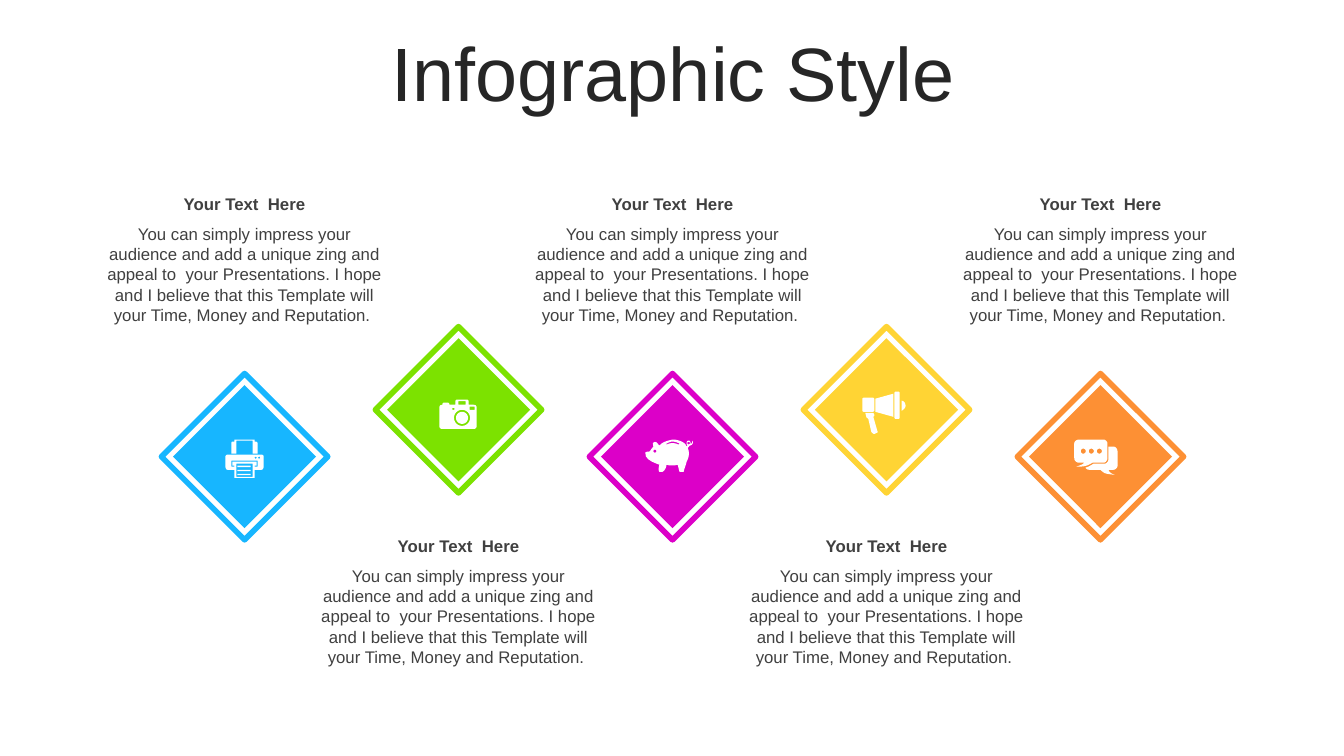
"""Build the five-step diamond infographic slide."""
import math
from dataclasses import dataclass

from pptx import Presentation
from pptx import util as u
from pptx.dml import color
from pptx.enum import shapes, text
from pptx.shapes import autoshape, shapetree
from pptx.text import text as text_parts

Point = tuple[float, float]
Contour = list[Point]


@dataclass(frozen=True)
class Theme:
    font: str = "Arial"
    title_color: str = "262626"
    text_color: str = "404040"
    icon_color: str = "FFFFFF"
    title_size: float = 54
    text_size: float = 12
    outline_width: float = 4


@dataclass(frozen=True)
class Icon:
    left: float
    top: float
    contours: list[Contour]


@dataclass(frozen=True)
class Step:
    accent: str
    icon: Icon


THEME = Theme()
ICON_UNIT = 0.72
FIRST_CENTER, STEP_PITCH = 174.7, 152.84
LOW_CENTER, HIGH_CENTER = 326.2, 292.7
INNER_SIZE, OUTER_SIZE = 102.2, 118.8
CAPTION_WIDTH, HEADING_HEIGHT, BODY_HEIGHT = 217.4, 21.8, 80
UPPER_CAPTION, LOWER_CAPTION = 134.6, 378.8
HEADING = "Your Text  Here"
BODY = (
    "You can simply impress your audience and add a unique zing and appeal to  your "
    "Presentations. I hope and I believe that this Template will your Time, Money and Reputation. "
)


def rounded(left: float, top: float, width: float, height: float, radius: float = 0) -> Contour:
    """Return a rectangle contour with optional rounded corners."""
    if not radius:
        return [(left, top), (left + width, top), (left + width, top + height), (left, top + height)]
    corners = [
        (left + width - radius, top + height - radius),
        (left + radius, top + height - radius),
        (left + radius, top + radius),
        (left + width - radius, top + radius),
    ]
    return [
        (x + radius * math.cos(math.radians(angle)), y + radius * math.sin(math.radians(angle)))
        for quarter, (x, y) in enumerate(corners)
        for angle in range(quarter * 90, quarter * 90 + 91, 15)
    ]


def disc(x: float, y: float, radius: float) -> Contour:
    """Return a circular contour around a centre."""
    return rounded(x - radius, y - radius, 2 * radius, 2 * radius, radius)


def outline(*segments: tuple[float, ...]) -> Contour:
    """Return a contour from points (two numbers) and cubic curves (six numbers)."""
    contour: Contour = []
    for segment in segments:
        if len(segment) == 2:
            contour.append(segment)
            continue
        x0, y0 = contour[-1]
        x1, y1, x2, y2, x3, y3 = segment
        for t in (0.2, 0.4, 0.6, 0.8, 1):
            a, b, c, d = (1 - t) ** 3, 3 * t * (1 - t) ** 2, 3 * t**2 * (1 - t), t**3
            contour.append((a * x0 + b * x1 + c * x2 + d * x3, a * y0 + b * y1 + c * y2 + d * y3))
    return contour


PRINTER = Icon(-19, -17, [
    outline((2, 15), (36, 15), (37, 15, 38, 16, 38, 17), (38, 27), (38, 28, 37, 30, 36, 30),
            (29, 30), (29, 38), (9, 38), (9, 30), (2, 30), (1, 30, 0, 28, 0, 27), (0, 17),
            (0, 16, 1, 15, 2, 15)),
    outline((6, 21), (6, 27), (9, 27), (9, 26), (7, 26), (7, 22), (31, 22), (31, 26),
            (29, 26), (29, 27), (32, 27), (32, 21)),
    rounded(11, 24, 16, 13),
    *(rounded(12, top, 13, 1.3) for top in (26, 30, 34)),
    *(disc(x, 18, 1) for x in (30, 33.5)),
    outline((9, 0), (29, 0), (29, 2), (30, 2), (31, 2, 32, 3, 32, 4), (32, 14), (27, 14),
            (27, 1), (11, 1), (11, 14), (6, 14), (6, 4), (6, 3, 6, 2, 7, 2), (9, 2)),
])
CAMERA = Icon(-19, -10, [
    outline((3, 5), (3, 4), (4, 3), (9, 3), (10, 4), (10, 5), (16, 5), (16, 1), (17, 0),
            (28, 0), (29, 1), (29, 5), (34, 5), (36, 5, 37, 6, 37, 8), (37, 26),
            (37, 28, 36, 29, 34, 29), (3, 29), (1, 29, 0, 28, 0, 26), (0, 8), (0, 6, 1, 5, 3, 5)),
    disc(22.5, 18, 8),
    disc(22.5, 18, 6),
    rounded(13, 8, 2, 2),
    rounded(30, 7, 5, 3),
    rounded(19, 1.5, 7, 3.5),
])
PIGGY_BANK = Icon(-27, -17, [
    outline((27, 0), (32, 0, 38, 2, 40, 5), (41, 7), (41, 6, 42, 6, 42, 6), (41, 5, 41, 5, 41, 3),
            (41, 2, 42, 1, 43, 1), (44, 1, 45, 2, 45, 4), (45, 5), (45, 4, 46, 5, 47, 1),
            (48, 4, 46, 6, 44, 6), (43, 7, 43, 8, 42, 8), (43, 11), (44, 16, 42, 20, 41, 22),
            (40, 26, 39, 28, 38, 32), (34, 32), (33, 30, 33, 27, 32, 25), (29, 26, 24, 26, 21, 25),
            (21, 28, 19, 31, 17, 32), (14, 32), (13, 32, 13, 27, 14, 25), (9, 23, -1, 20, 0, 13),
            (0, 12, 3, 12, 4, 12), (6, 10, 6, 9, 8, 7), (8, 6, 7, 3, 8, 3), (11, 1, 12, 4, 14, 6),
            (17, 2, 23, 1, 27, 0)),
    disc(9.5, 11.5, 1.5),
    disc(43, 3.5, 1.3),
    outline((27, 2), (25, 2, 23, 3, 21, 4), (21, 5), (25, 3, 29, 3, 33, 5), (34, 4),
            (32, 3, 29, 2, 27, 2)),
])
MEGAPHONE = Icon(-24, -18, [
    rounded(0, 6, 12, 14, 1.5),
    outline((31, 2), (31, 25), (13, 20), (13, 7)),
    rounded(32, 0, 5, 27, 1),
    outline((39, 9), (41, 9, 43, 11, 43, 14), (43, 16, 41, 18, 39, 19)),
    outline((11, 21), (12, 23), (12, 24, 12, 24, 11, 25), (15, 39), (16, 40, 15, 41, 14, 41),
            (12, 42), (11, 42, 10, 41, 9, 40), (6, 27), (5, 26, 4, 26, 4, 25), (3, 21)),
])
CHAT = Icon(-26, -17, [
    outline((5, 0), (29, 0), (31, 0, 33, 2, 33, 4), (33, 18), (33, 21, 31, 23, 29, 23), (18, 23),
            (13, 26, 11, 27, 2, 27), (7, 25, 8, 25, 10, 23), (5, 23), (2, 23, 0, 21, 0, 18),
            (0, 4), (0, 2, 2, 0, 5, 0)),
    *(disc(x, 11.5, 2.5) for x in (9, 17, 25)),
    outline((34, 7), (39, 7), (41, 7, 43, 9, 43, 12), (43, 26), (43, 28, 41, 30, 39, 30), (34, 30),
            (35, 32, 35, 33, 40, 35), (31, 34, 30, 34, 26, 30), (15, 30), (13, 30, 12, 29, 11, 28),
            (14, 27, 16, 26, 19, 24), (30, 24), (32, 24, 34, 22, 34, 19)),
])
STEPS = [
    Step("17B6FF", PRINTER),
    Step("7CE200", CAMERA),
    Step("DC00C8", PIGGY_BANK),
    Step("FFD434", MEGAPHONE),
    Step("FD9034", CHAT),
]


def format_text(paragraph: text_parts._Paragraph, size: float, rgb: str, bold: bool = False) -> None:
    """Centre a paragraph and format its runs."""
    paragraph.alignment = text.PP_ALIGN.CENTER
    for run in paragraph.runs:
        run.font.name, run.font.size, run.font.bold = THEME.font, u.Pt(size), bold
        run.font.color.rgb = color.RGBColor.from_string(rgb)


def fill_plain(shape: autoshape.Shape, rgb: str) -> None:
    """Give a shape a solid fill without line or shadow."""
    shape.shadow.inherit = False
    shape.fill.solid()
    shape.fill.fore_color.rgb = color.RGBColor.from_string(rgb)
    shape.line.fill.background()


def add_diamond(group: shapetree.GroupShapes, x: float, y: float, size: float) -> autoshape.Shape:
    """Add a diamond around a centre."""
    return group.add_shape(
        shapes.MSO_SHAPE.DIAMOND, u.Pt(x - size / 2), u.Pt(y - size / 2), u.Pt(size), u.Pt(size))


def add_icon(group: shapetree.GroupShapes, icon: Icon, x: float, y: float) -> None:
    """Draw an icon relative to a diamond centre."""
    contours = [[(u.Pt(a * ICON_UNIT), u.Pt(b * ICON_UNIT)) for a, b in contour] for contour in icon.contours]
    builder = group.build_freeform(*contours[0][0])
    for index, contour in enumerate(contours):
        if index:
            builder.move_to(*contour[0])
        builder.add_line_segments(contour[1:], close=True)
    shape = builder.convert_to_shape(u.Pt(x + icon.left * ICON_UNIT), u.Pt(y + icon.top * ICON_UNIT))
    fill_plain(shape, THEME.icon_color)


def add_caption(group: shapetree.GroupShapes, x: float, top: float) -> None:
    """Add a bold heading with its body text below."""
    for words, y, height, bold in (
            (HEADING, top, HEADING_HEIGHT, True), (BODY, top + HEADING_HEIGHT, BODY_HEIGHT, False)):
        box = group.add_textbox(u.Pt(x - CAPTION_WIDTH / 2), u.Pt(y), u.Pt(CAPTION_WIDTH), u.Pt(height))
        box.text_frame.text = words
        box.text_frame.word_wrap = True
        box.text_frame.auto_size = text.MSO_AUTO_SIZE.SHAPE_TO_FIT_TEXT
        format_text(box.text_frame.paragraphs[0], THEME.text_size, THEME.text_color, bold)


def main() -> None:
    """Create and save the presentation."""
    presentation = Presentation()
    presentation.slide_width, presentation.slide_height = u.Pt(960), u.Pt(540)
    slide = presentation.slides.add_slide(presentation.slide_layouts[5])
    title = slide.shapes.title
    title.left, title.top, title.width, title.height = (u.Pt(n) for n in (25.2, 26.6, 911.5, 56.9))
    title.text_frame.text = "Infographic Style"
    title.text_frame.auto_size = text.MSO_AUTO_SIZE.NONE
    title.text_frame.vertical_anchor = text.MSO_ANCHOR.MIDDLE
    title.text_frame.paragraphs[0].line_spacing = 0.9
    format_text(title.text_frame.paragraphs[0], THEME.title_size, THEME.title_color)
    for index, step in enumerate(STEPS):
        raised = index % 2 == 1
        x = FIRST_CENTER + index * STEP_PITCH
        y = HIGH_CENTER if raised else LOW_CENTER
        group = slide.shapes.add_group_shape().shapes
        fill_plain(add_diamond(group, x, y, INNER_SIZE), step.accent)
        frame = add_diamond(group, x, y, OUTER_SIZE)
        frame.shadow.inherit = False
        frame.fill.background()
        frame.line.color.rgb = color.RGBColor.from_string(step.accent)
        frame.line.width = u.Pt(THEME.outline_width)
        add_icon(group, step.icon, x, y)
        add_caption(group, x, LOWER_CAPTION if raised else UPPER_CAPTION)
    presentation.save("out.pptx")


if __name__ == "__main__":
    main()
